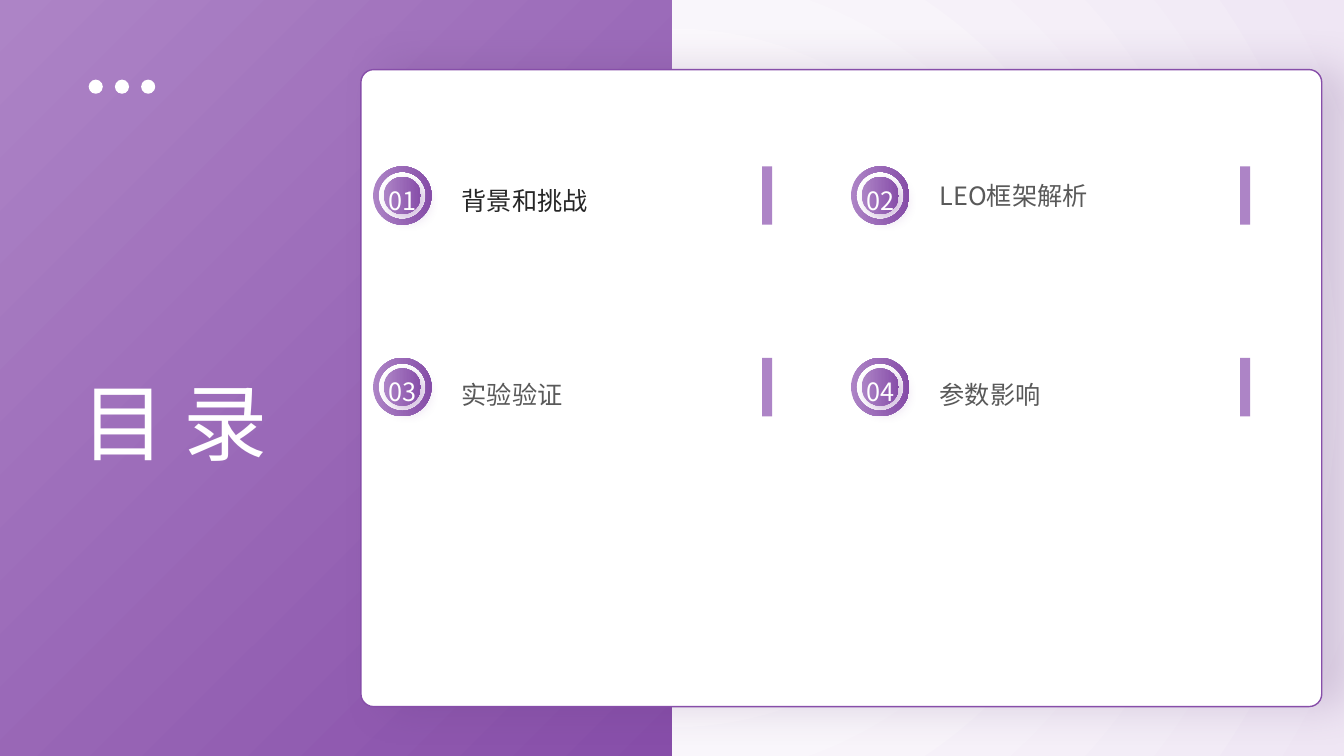
import pptx
import pptx.util
import pptx.dml.color
import pptx.enum.dml
import pptx.enum.shapes
import pptx.enum.text
import pptx.oxml
import pptx.oxml.ns
import lxml.etree

RGBColor = pptx.dml.color.RGBColor
Inches = pptx.util.Inches
SHAPE = pptx.enum.shapes.MSO_SHAPE
ALIGN = pptx.enum.text.PP_ALIGN
ANCHOR = pptx.enum.text.MSO_ANCHOR
qn = pptx.oxml.ns.qn

WHITE = RGBColor(0xFF, 0xFF, 0xFF)
MIST = RGBColor(0xEF, 0xE6, 0xF4)
LILAC = RGBColor(0xAD, 0x84, 0xC6)
PURPLE = RGBColor(0x87, 0x4E, 0xA9)
PLUM = RGBColor(0x5A, 0x34, 0x71)
INK = RGBColor(0x26, 0x26, 0x26)
GRAY = RGBColor(0x59, 0x59, 0x59)
FONT = "Noto Sans CJK SC"
WIDTH, HEIGHT = 13.33, 7.5


def add_figure(parent, kind, left, top, width, height, colors, angle=0, shadow=None):
    """Add a borderless shape, in inches; two colors make a gradient.

    shadow is (color, opacity %, blur pt, distance pt, direction in degrees).
    """
    figure = parent.add_shape(kind, Inches(left), Inches(top), Inches(width), Inches(height))
    figure.line.fill.background()
    figure.shadow.inherit = False
    if len(colors) == 1:
        figure.fill.solid()
        figure.fill.fore_color.rgb = colors[0]
    else:
        figure.fill.gradient()
        figure.fill.gradient_angle = angle
        for stop, color, position in zip(figure.fill.gradient_stops, colors, (0, 1)):
            stop.color.rgb = color
            stop.position = position
    if shadow:
        color, opacity, blur, distance, direction = shadow
        effects = figure.element.spPr.find(qn("a:effectLst"))
        outer = lxml.etree.SubElement(
            effects, qn("a:outerShdw"), blurRad=str(blur * 12700), dist=str(distance * 12700),
            dir=str(direction * 60000), algn="ctr", rotWithShape="0")
        tint = lxml.etree.SubElement(outer, qn("a:srgbClr"), val=str(color))
        lxml.etree.SubElement(tint, qn("a:alpha"), val=str(opacity * 1000))
    return figure


def write(box, text, size, color, spacing, align, anchor):
    frame = box.text_frame
    frame.word_wrap = True
    frame.margin_left = frame.margin_right = frame.margin_top = frame.margin_bottom = 0
    frame.vertical_anchor = anchor
    paragraph = frame.paragraphs[0]
    paragraph.alignment = align
    paragraph.line_spacing = spacing
    run = paragraph.add_run()
    run.text = text
    run.font.size = pptx.util.Pt(size)
    run.font.name = FONT
    run.font.color.rgb = color
    lxml.etree.SubElement(run.font._element, qn("a:ea"), typeface=FONT)


deck = pptx.Presentation()
deck.slide_width, deck.slide_height = Inches(WIDTH), Inches(HEIGHT)
slide = deck.slides.add_slide(deck.slide_layouts[5])
shapes = slide.shapes

# Backdrop: pale radial glow, purple left half, white card
glow = add_figure(shapes, SHAPE.RECTANGLE, 0, 0, WIDTH, HEIGHT, (WHITE, MIST))
glow.fill.gradient_stops[0].position = 0.18
gradient = glow.element.spPr.find(qn("a:gradFill"))
gradient.replace(gradient.find(qn("a:lin")), pptx.oxml.parse_xml(
    '<a:path xmlns:a="http://schemas.openxmlformats.org/drawingml/2006/main" path="circle">'
    '<a:fillToRect l="50000" t="50000" r="50000" b="50000"/></a:path>'))
add_figure(shapes, SHAPE.RECTANGLE, 0, 0, WIDTH / 2, HEIGHT, (LILAC, PURPLE), angle=315)
card = add_figure(shapes, SHAPE.ROUNDED_RECTANGLE, 3.58, 0.69, 9.53, 6.32, (WHITE,),
                  shadow=(PLUM, 20, 31, 18, 0))
card.adjustments[0] = 0.02
card.line.color.rgb = PURPLE
card.line.width = pptx.util.Pt(1)

# Title, brought in front of the backdrop
heading = shapes.title
shapes.element.append(heading.element)
heading.left, heading.top = Inches(0.52), Inches(3.38)
heading.width, heading.height = Inches(2.42), Inches(1.28)
write(heading, "目 录", 60, WHITE, 1.3, ALIGN.CENTER, ANCHOR.TOP)
heading.text_frame.auto_size = pptx.enum.text.MSO_AUTO_SIZE.SHAPE_TO_FIT_TEXT

for dot in range(3):
    add_figure(shapes, SHAPE.OVAL, 0.88 + dot * 0.26, 0.79, 0.14, 0.14, (WHITE,))

# Agenda entries on a grid of two columns
LEFT, TOP, COLUMN, ROW = 3.7, 1.65, 4.74, 1.9
BADGE, CORE = 0.58, 0.37
INSET = (BADGE - CORE) / 2
entries = [
    ("背景和挑战", INK, 1.3),
    ("LEO框架解析", GRAY, 1.0),
    ("实验验证", GRAY, 1.5),
    ("参数影响", GRAY, 1.5),
]
for index, (topic, color, spacing) in enumerate(entries):
    row, column = divmod(index, 2)
    x, y = LEFT + column * COLUMN, TOP + row * ROW
    entry = shapes.add_group_shape().shapes
    add_figure(entry, SHAPE.RECTANGLE, x + 0.4, y, 3.55, BADGE, (WHITE,))
    add_figure(entry, SHAPE.RECTANGLE, x + 3.86, y, 0.1, BADGE, (LILAC,))
    ring = add_figure(entry, SHAPE.DONUT, x, y, BADGE, BADGE, (LILAC, PURPLE))
    ring.adjustments[0] = 0.094
    add_figure(entry, SHAPE.OVAL, x + INSET, y + INSET, CORE, CORE, (LILAC, PURPLE),
               shadow=(PURPLE, 33, 9, 6, 45))
    label = entry.add_textbox(Inches(x + 0.88), Inches(y), Inches(2.9), Inches(BADGE))
    write(label, topic, 18, color, spacing, ALIGN.LEFT, ANCHOR.MIDDLE)
    number = entry.add_textbox(Inches(x + INSET), Inches(y + INSET), Inches(CORE), Inches(CORE))
    write(number, f"{index + 1:02}", 18, WHITE, 1.3, ALIGN.CENTER, ANCHOR.MIDDLE)

deck.save("out.pptx")
